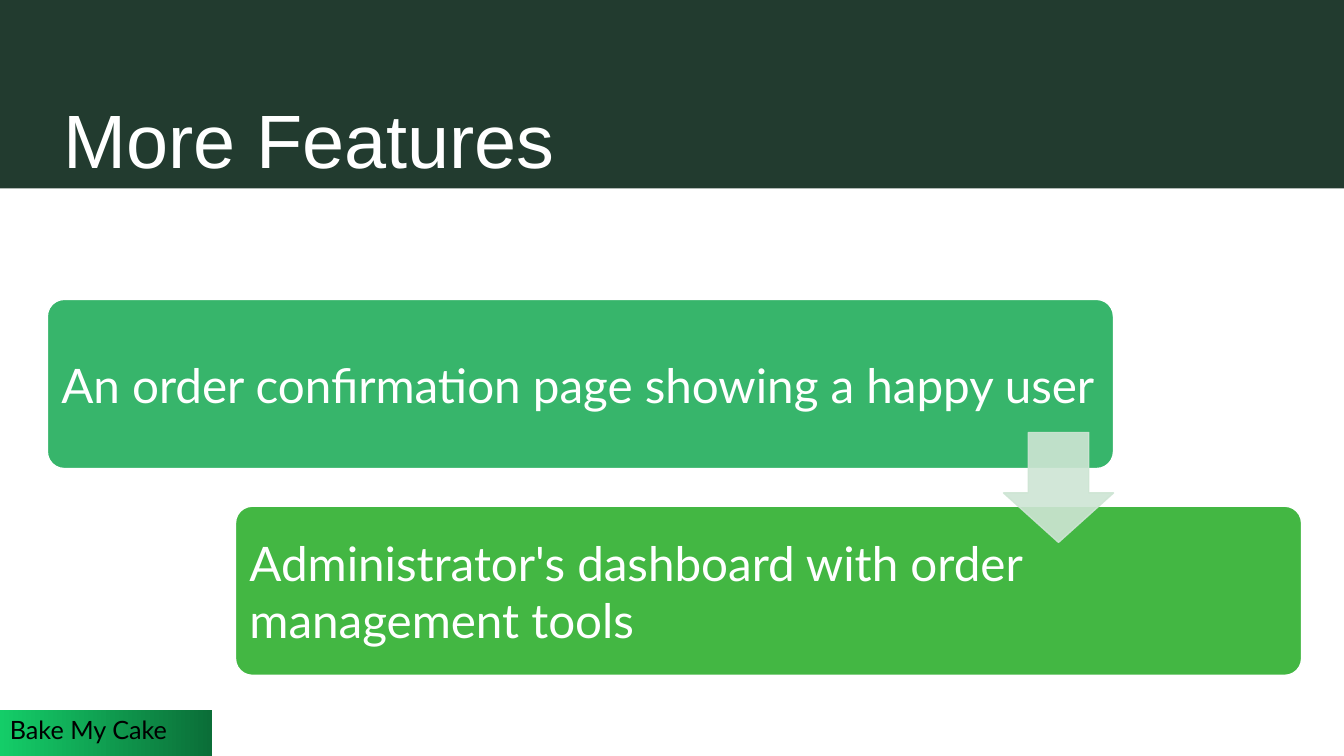
from lxml import etree
from pptx import Presentation
from pptx.dml.color import RGBColor
from pptx.enum.shapes import MSO_SHAPE as Shape
from pptx.enum.text import MSO_ANCHOR as Anchor, PP_ALIGN as Align
from pptx.oxml.ns import qn
from pptx.util import Inches, Pt

WHITE = "FFFFFF"
ARROW_COLOUR = "CEE5D4"
FEATURES = [
    ("An order confirmation page showing a happy user", "37B56B"),
    ("Administrator's dashboard with order management tools", "43B743"),
]


def colour(code):
    return RGBColor.from_string(code)


def add_block(slide, kind, box, fill=None, line=None):
    block = slide.shapes.add_shape(kind, *map(Inches, box))
    block.shadow.inherit = False
    if fill:
        block.fill.solid()
        block.fill.fore_color.rgb = colour(fill)
    if line:
        block.line.color.rgb = colour(line)
        block.line.width = Pt(1)
    else:
        block.line.fill.background()
    return block


def write(block, words, size, font, ink, anchor, inset_x=0.1, inset_y=0.05):
    frame = block.text_frame
    frame.word_wrap = True
    frame.vertical_anchor = anchor
    frame.margin_left = frame.margin_right = Inches(inset_x)
    frame.margin_top = frame.margin_bottom = Inches(inset_y)
    frame.text = words
    paragraph = frame.paragraphs[0]
    paragraph.alignment = Align.LEFT
    run = paragraph.runs[0]
    run.font.size = Pt(size)
    run.font.name = font
    run.font.color.rgb = colour(ink)


def set_opacity(fill_format, percent):
    fill_format.fore_color.rgb = colour(ARROW_COLOUR)
    return percent * 1000


def add_title_band(slide, left, top, width, height):
    add_block(slide, Shape.RECTANGLE, (left, top, width, height), "223B2F")
    title = slide.shapes.add_textbox(
        Inches(left + 0.53), Inches(top + 0.4), Inches(11.89), Inches(height - 0.4))
    write(title, "More Features", 54, "Arial", WHITE, Anchor.BOTTOM)


def add_feature_steps(slide, left, top, width, height):
    step_width, step_height = width * 0.85, height * 0.45
    shift_x, shift_y = width - step_width, height - step_height
    for index, (feature, fill) in enumerate(FEATURES):
        box = (left + index * shift_x, top + index * shift_y, step_width, step_height)
        step = add_block(slide, Shape.ROUNDED_RECTANGLE, box, fill, WHITE)
        step.adjustments[0] = 0.1
        write(step, feature, 34, "Lato", WHITE, Anchor.MIDDLE, 0.09, 0.09)

    arrow_size = step_height * 0.65
    arrow_box = (left + step_width - arrow_size, top + 1.32, arrow_size, arrow_size)
    arrow = add_block(slide, Shape.DOWN_ARROW, arrow_box, ARROW_COLOUR, ARROW_COLOUR)
    arrow.adjustments[0] = 0.55
    arrow.adjustments[1] = 0.45
    for tint in arrow.element.spPr.iter(qn("a:srgbClr")):
        etree.SubElement(tint, qn("a:alpha"), val="90000")


def add_project_tag(slide, left, top, width, height):
    tag = add_block(slide, Shape.RECTANGLE, (left, top, width, height))
    tag.fill.gradient()
    tag.fill.gradient_angle = 0
    for stop, (position, code) in zip(tag.fill.gradient_stops, [(0, "14CD68"), (1, "0B6E38")]):
        stop.position = position
        stop.color.rgb = colour(code)
    write(tag, "Bake My Cake", 18, "Lato", "000000", Anchor.TOP)


def main():
    deck = Presentation()
    deck.slide_width, deck.slide_height = Inches(13.33), Inches(7.5)
    slide = deck.slides.add_slide(deck.slide_layouts[6])
    add_title_band(slide, 0, 0, 13.33, 1.87)
    add_feature_steps(slide, 0.47, 2.97, 12.44, 3.73)
    add_project_tag(slide, 0, 7.04, 2.1, 0.46)
    deck.save("out.pptx")


if __name__ == "__main__":
    main()
